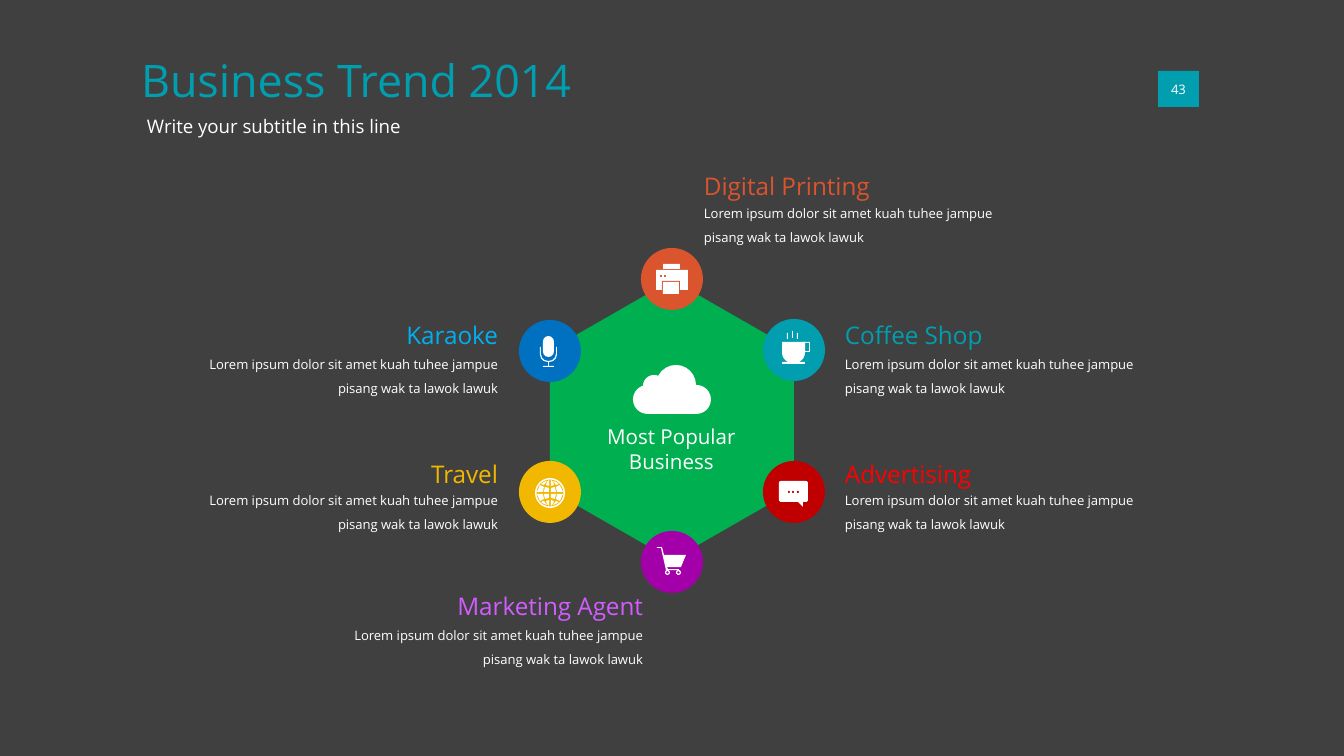
from pptx import Presentation
from pptx.dml.color import RGBColor
from pptx.enum import shapes, text
from pptx.util import Pt

PX = 914400 / 134.4  # EMU in one px
FONT = "Open Sans"
HUES = {
    "back": "404040", "white": "FFFFFF", "teal": "009EAF", "green": "00B050",
    "red": "C00000", "bright": "FF0000", "plum": "A300AA", "lilac": "D25DFF",
    "gold": "F2B800", "blue": "0070C0", "sky": "00B0F0", "rust": "DA542D",
}
LEFT, MID, RIGHT = text.PP_ALIGN.LEFT, text.PP_ALIGN.CENTER, text.PP_ALIGN.RIGHT
LOREM = "Lorem ipsum dolor sit amet kuah tuhee jampue pisang wak ta lawok lawuk"

KIND = shapes.MSO_SHAPE
RECT, OVAL, RING = KIND.RECTANGLE, KIND.OVAL, KIND.DONUT
PILL, CUP = KIND.ROUNDED_RECTANGLE, KIND.ROUND_2_SAME_RECTANGLE
POLY = "poly"
DISC = 62

# Icon parts inside a disc: kind, colour ("" is the disc's own), box or points, adjustments
PRINT = [
    (RECT, "white", (22, 16, 17, 5)),
    (RECT, "white", (15, 22, 32, 20)),
    (RECT, "", (21, 33, 18, 9)),
    (RECT, "white", (22, 34, 16, 12)),
    (OVAL, "", (19, 27, 2, 2)),
    (OVAL, "", (23, 27, 2, 2)),
]
COFFEE = [
    (RECT, "white", (40, 23, 7, 10)),
    (RECT, "", (42, 24, 4, 8)),
    (CUP, "white", (19, 23, 23, 21), 0, 0.5),
    (RECT, "white", (19, 43, 23, 2)),
    (RECT, "white", (24, 14, 1, 6)),
    (RECT, "white", (29, 12, 1, 7)),
    (RECT, "white", (34, 14, 1, 6)),
]
CHAT = [
    (PILL, "white", (16, 20, 29, 21), 0.1),
    (POLY, "white", [(34, 40), (40, 40), (40, 46)]),
] + [(OVAL, "", (x, 30, 2, 2)) for x in (25, 29, 34)]
CART = [
    (POLY, "white", [(16, 16), (21, 16), (23, 24), (45, 24), (40, 36), (26, 36),
                     (27, 38), (38, 38), (38, 39), (25, 39), (20, 17), (16, 17)]),
    (RING, "white", (24, 39, 5, 5), 0.25),
    (RING, "white", (35, 39, 5, 5), 0.25),
]
# One quarter of the globe, measured from its middle, is mirrored four ways
CELLS = [
    [(1, -1), (6, -1), (5, -6), (1, -5)],
    [(1, -7), (4, -8), (3, -11), (1, -13)],
    [(7, -1), (13, -1), (10, -8), (6, -6)],
    [(3, -12), (6, -11), (9, -9), (6, -8)],
]
GLOBE = [(RING, "white", (16, 17, 30, 30), 0.05)] + [
    (POLY, "white", [(31 + h * x, 32 + v * y) for x, y in cell])
    for cell in CELLS for h in (1, -1) for v in (1, -1)
]
MIC = [
    (CUP, "white", (21, 27, 17, 15), 0, 0.5),
    (CUP, "", (22, 26, 15, 15), 0, 0.5),
    (PILL, "white", (24, 16, 11, 21), 0.5),
    (RECT, "white", (29, 41, 1, 6)),
    (RECT, "white", (24, 46, 11, 1)),
]
CLOUD = [
    (PILL, "white", (0, 20, 78, 29), 0.5),
    (OVAL, "white", (23, 0, 40, 40)),
    (OVAL, "white", (10, 10, 22, 22)),
]

# Disc corner, disc hue, icon, heading, heading hue, label corner, gap to body, alignment
NODES = [
    ((763, 319), "teal", COFFEE, "Coffee Shop", "teal", (843, 318), 29, LEFT),
    ((763, 461), "red", CHAT, "Advertising", "bright", (843, 457), 26, LEFT),
    ((641, 531), "plum", CART, "Marketing Agent", "lilac", (351, 589), 29, RIGHT),
    ((519, 461), "gold", GLOBE, "Travel", "gold", (206, 457), 26, RIGHT),
    ((519, 320), "blue", MIC, "Karaoke", "sky", (206, 318), 29, RIGHT),
    ((641, 248), "rust", PRINT, "Digital Printing", "rust", (702, 169), 27, LEFT),
]


def emu(*px):
    return [round(v * PX) for v in px]


def rgb(hue):
    return RGBColor.from_string(HUES[hue])


def draw(tree, at, hue, kind, tint, box, *adj):
    """Add one flat part, offset by the corner of its region."""
    x, y = at
    if kind == POLY:
        pts = [(x + a, y + b) for a, b in box]
        pen = tree.build_freeform(*pts[0], scale=PX)
        pen.add_line_segments(pts[1:])
        part = pen.convert_to_shape()
    else:
        a, b, w, h = box
        part = tree.add_shape(kind, *emu(x + a, y + b, w, h))
        for i, val in enumerate(adj):
            part.adjustments[i] = val
    part.shadow.inherit = False
    part.fill.solid()
    part.fill.fore_color.rgb = rgb(tint or hue)
    part.line.fill.background()
    return part


def write(shape, words, size, hue, align=LEFT, pad=0, lead=None, anchor=text.MSO_ANCHOR.TOP):
    frame = shape.text_frame
    frame.text = words
    frame.word_wrap = True
    frame.auto_size = text.MSO_AUTO_SIZE.NONE
    frame.vertical_anchor = anchor
    frame.margin_left, frame.margin_top, frame.margin_right, frame.margin_bottom = emu(*[pad] * 4)
    for para in frame.paragraphs:
        para.alignment = align
        para.space_before = Pt(0)
        if lead:
            para.line_spacing = lead
        for run in para.runs:
            run.font.name = FONT
            run.font.size = Pt(size)
            run.font.color.rgb = rgb(hue)


def place(shape, *box):
    shape.left, shape.top, shape.width, shape.height = emu(*box)


def header(slide, x, y):
    title, sub = slide.placeholders
    place(title, x, y, 640, 66)
    write(title, "Business Trend 2014", 24, "teal")
    place(sub, x + 6, y + 62, 929, 31)
    write(sub, "Write your subtitle in this line", 10, "white")
    mark = draw(slide.shapes, (x + 1017, y + 18), "teal", RECT, "", (0, 0, 41, 36))
    write(mark, "43", 7, "white", MID, anchor=text.MSO_ANCHOR.MIDDLE)


def centre(slide, x, y, w, h):
    half, side = w / 2, h / 4
    pts = [(half, 0), (w, side), (w, h - side), (half, h), (0, h - side), (0, side)]
    draw(slide.shapes, (x, y), "green", POLY, "", [(round(a), round(b)) for a, b in pts])
    cloud = slide.shapes.add_group_shape().shapes
    for part in CLOUD:
        draw(cloud, (x + 83, y + 85), "green", *part)
    box = slide.shapes.add_textbox(*emu(x, y + 144, w - 1, 59))
    write(box, "Most Popular\nBusiness", 11, "white", MID)


def badge(slide, at, hue, icon):
    tree = slide.shapes.add_group_shape().shapes
    draw(tree, at, hue, OVAL, "", (0, 0, DISC, DISC))
    for part in icon:
        draw(tree, at, hue, *part)


def label(slide, at, head, hue, gap, align):
    x, y = at
    body = slide.shapes.add_textbox(*emu(x, y + gap, 294, 43))
    write(body, LOREM, 7, "white", align, pad=2, lead=1.5)
    top = slide.shapes.add_textbox(*emu(x, y, 294, 36))
    write(top, head, 13, hue, align, pad=2)


def main():
    deck = Presentation()
    deck.slide_width, deck.slide_height = emu(1344, 756)
    slide = deck.slides.add_slide(deck.slide_layouts[0])
    slide.background.fill.solid()
    slide.background.fill.fore_color.rgb = rgb("back")
    header(slide, 141, 53)
    centre(slide, 550, 280, 244, 280)
    for at, hue, icon, head, tint, spot, gap, align in NODES:
        badge(slide, at, hue, icon)
        label(slide, spot, head, tint, gap, align)
    deck.save("out.pptx")


if __name__ == "__main__":
    main()
